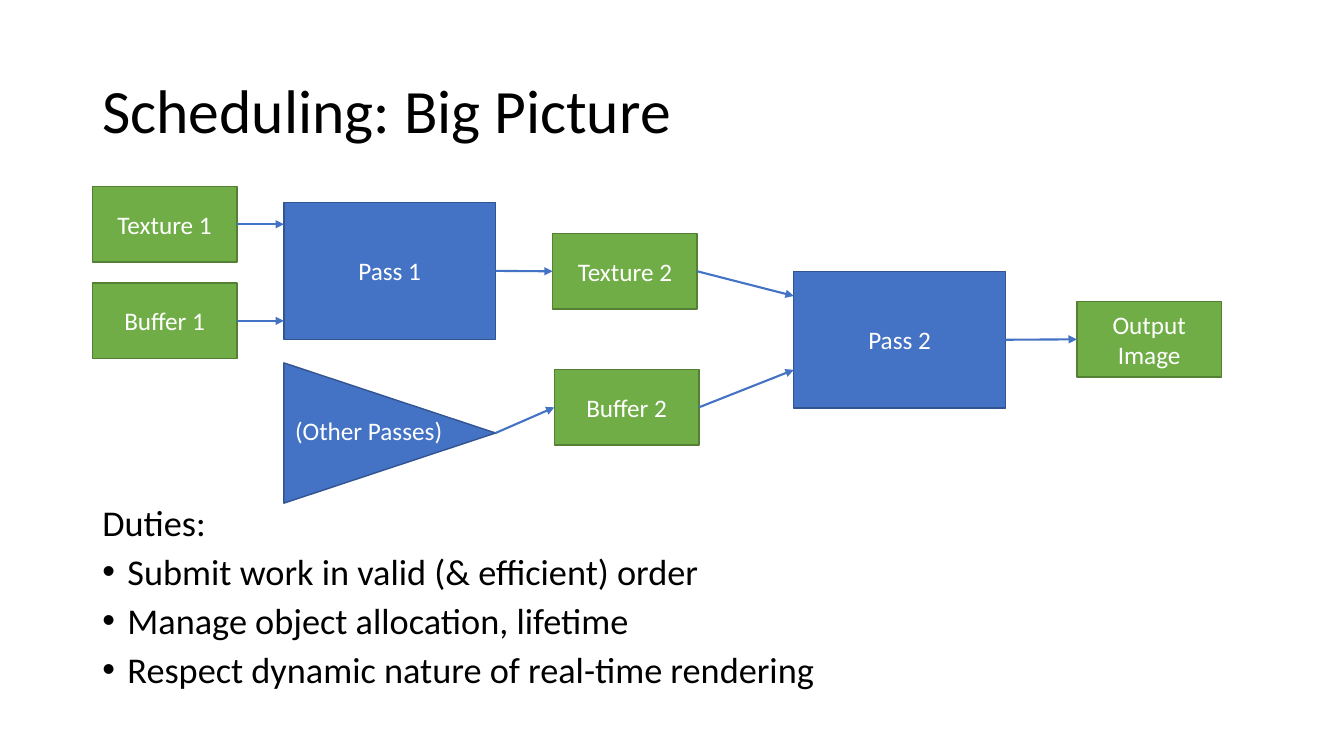
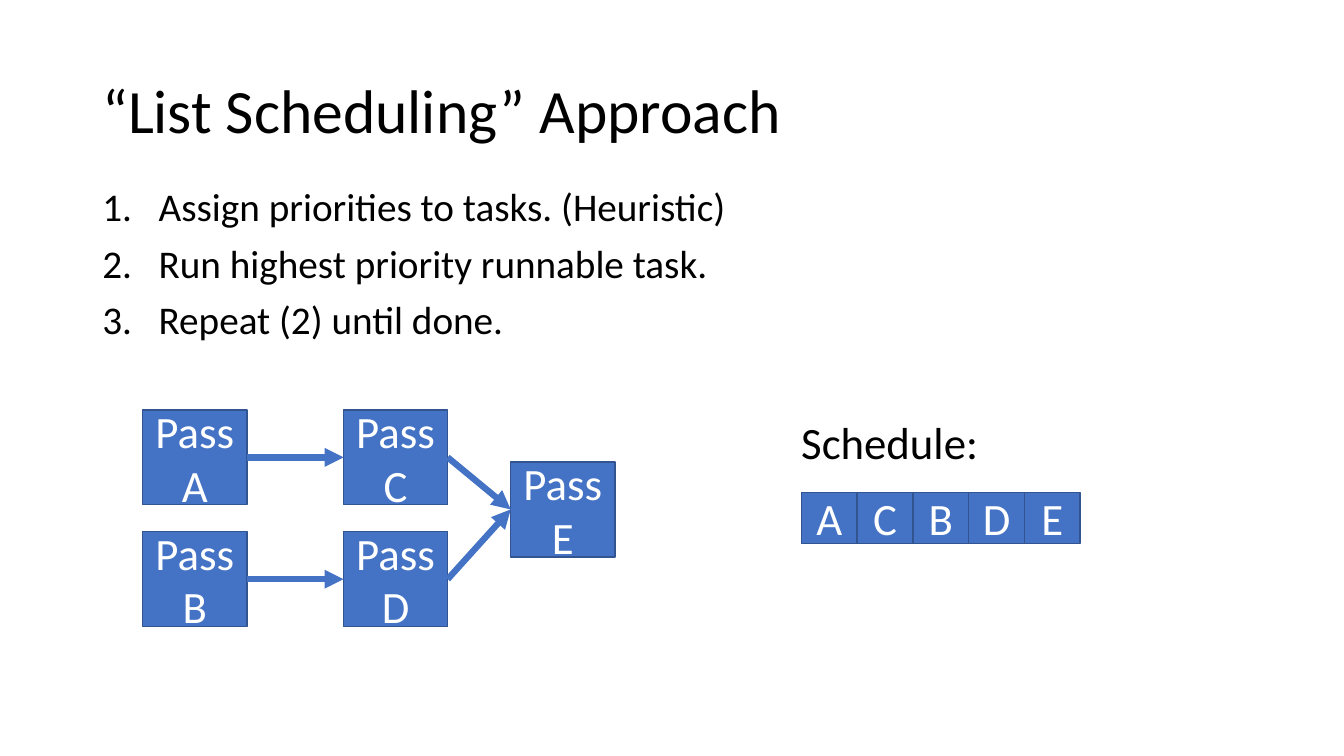
from dataclasses import dataclass

from lxml import etree
from pptx import Presentation
from pptx.dml.color import RGBColor
from pptx.enum.shapes import MSO_CONNECTOR, MSO_SHAPE
from pptx.enum.text import MSO_ANCHOR, PP_ALIGN
from pptx.oxml.ns import qn
from pptx.util import Emu, Inches, Pt

RECTANGLE = MSO_SHAPE.RECTANGLE
TRIANGLE = MSO_SHAPE.ISOSCELES_TRIANGLE
STRAIGHT = MSO_CONNECTOR.STRAIGHT
TOP, MIDDLE = MSO_ANCHOR.TOP, MSO_ANCHOR.MIDDLE
LEFT, CENTER = PP_ALIGN.LEFT, PP_ALIGN.CENTER

# The slide is a grid of square cells; all boxes are given in cells
COLUMNS, ROWS = 80, 45
CELL = Inches(1) / 6
BLANK_LAYOUT = 6


@dataclass(frozen=True)
class Theme:
    font: str = "Calibri"
    ink: str = "000000"
    on_fill: str = "FFFFFF"
    arrow: str = "4472C4"
    work: tuple = ("4472C4", "325491")
    resource: tuple = ("70AD47", "538035")
    title_size: float = 44
    body_size: float = 28
    duties_size: float = 25.9
    large_size: float = 32
    label_size: float = 18
    outline: float = 1


THEME = Theme()


@dataclass(frozen=True)
class Box:
    left: float
    top: float
    width: float
    height: float

    @property
    def right(self):
        return self.left + self.width

    @property
    def middle(self):
        return self.top + self.height / 2

    def emu(self):
        return [cells(n) for n in (self.left, self.top, self.width, self.height)]


TITLE_BOX = Box(5.5, 2.4, 69, 8.7)


def cells(count):
    return Emu(round(count * CELL))


# Text
def add_bullet(paragraph, bullet, indent):
    properties = paragraph._p.get_or_add_pPr()
    properties.set("marL", str(Inches(indent)))
    properties.set("indent", str(-Inches(indent)))
    if bullet == "number":
        etree.SubElement(properties, qn("a:buAutoNum"), type="arabicPeriod")
    else:
        etree.SubElement(properties, qn("a:buFont"), typeface="Arial")
        etree.SubElement(properties, qn("a:buChar"), char=bullet)


def write(frame, text, *, size, color=THEME.ink, align=LEFT, anchor=TOP,
          wrap=True, line_spacing=None, space_before=None, bullet=None,
          indent=0, first_bullet=0):
    """Fill a text frame, one paragraph for each line of text."""
    frame.word_wrap = wrap
    frame.vertical_anchor = anchor
    for index, line in enumerate(text.split("\n")):
        paragraph = frame.add_paragraph() if index else frame.paragraphs[0]
        paragraph.alignment = align
        if line_spacing:
            paragraph.line_spacing = line_spacing
        if space_before:
            paragraph.space_before = Pt(space_before)
        if bullet and index >= first_bullet:
            add_bullet(paragraph, bullet, indent)
        run = paragraph.add_run()
        run.text = line
        run.font.name = THEME.font
        run.font.size = Pt(size)
        run.font.color.rgb = RGBColor.from_string(color)


def add_text(slide, box, text, **text_format):
    write(slide.shapes.add_textbox(*box.emu()).text_frame, text, **text_format)


# Diagram parts
def add_filled(slide, box, colors, kind=RECTANGLE):
    fill, line = colors
    shape = slide.shapes.add_shape(kind, *box.emu())
    shape.shadow.inherit = False
    shape.fill.solid()
    shape.fill.fore_color.rgb = RGBColor.from_string(fill)
    shape.line.color.rgb = RGBColor.from_string(line)
    shape.line.width = Pt(THEME.outline)
    return shape


def add_node(slide, box, text, colors=THEME.work, size=THEME.label_size):
    shape = add_filled(slide, box, colors)
    write(shape.text_frame, text, size=size, color=THEME.on_fill,
          align=CENTER, anchor=MIDDLE)


def add_right_triangle(slide, box, colors):
    """Draw a triangle that points right and fills the box once turned."""
    upright = Box(box.left + (box.width - box.height) / 2,
                  box.top + (box.height - box.width) / 2,
                  box.height, box.width)
    add_filled(slide, upright, colors, TRIANGLE).rotation = 90


def add_arrow(slide, source, target, width=1.5, entry=0.5, level=False):
    """Lead from the source's right side to a share of the target's left side."""
    end_y = source.middle if level else target.top + entry * target.height
    connector = slide.shapes.add_connector(
        STRAIGHT, cells(source.right), cells(source.middle),
        cells(target.left), cells(end_y))
    connector.line.color.rgb = RGBColor.from_string(THEME.arrow)
    connector.line.width = Pt(width)
    properties = connector.element.spPr
    etree.SubElement(properties.find(qn("a:ln")), qn("a:tailEnd"), type="triangle")
    etree.SubElement(properties, qn("a:effectLst"))


# Slides
def add_titled_slide(presentation, title):
    slide = presentation.slides.add_slide(presentation.slide_layouts[BLANK_LAYOUT])
    add_text(slide, TITLE_BOX, title, size=THEME.title_size, anchor=MIDDLE,
             line_spacing=0.9)
    return slide


def build_big_picture(presentation):
    slide = add_titled_slide(presentation, "Scheduling: Big Picture")
    add_text(slide, Box(5.5, 30, 69, 11.95),
             "Duties:\nSubmit work in valid (& efficient) order\n"
             "Manage object allocation, lifetime\n"
             "Respect dynamic nature of real-time rendering",
             size=THEME.duties_size, line_spacing=0.8, space_before=10,
             bullet="•", indent=0.25, first_bullet=1)

    # Resources and passes
    resources = {name: Box(left, top, 8.6, 4.5) for name, left, top in (
        ("Texture 1", 5.5, 11.1), ("Buffer 1", 5.5, 16.85),
        ("Texture 2", 32.9, 13.9), ("Buffer 2", 33, 22),
        ("Output Image", 64.1, 17.95))}
    passes = {name: Box(left, top, 12.6, 8.15) for name, left, top in (
        ("Pass 1", 16.9, 12.05), ("Pass 2", 47.25, 16.15))}
    for boxes, colors in ((resources, THEME.resource), (passes, THEME.work)):
        for name, box in boxes.items():
            add_node(slide, box, name, colors)
    other_passes = Box(16.9, 21.6, 12.6, 8.35)
    add_right_triangle(slide, other_passes, THEME.work)
    add_text(slide, Box(16.9, 24.4, 10.1, 2.4), "(Other Passes)",
             size=THEME.label_size, color=THEME.on_fill, align=CENTER, wrap=False)

    # Data flow
    first, second = passes.values()
    for name in ("Texture 1", "Buffer 1"):
        add_arrow(slide, resources[name], first, level=True)
    add_arrow(slide, first, resources["Texture 2"])
    add_arrow(slide, other_passes, resources["Buffer 2"])
    add_arrow(slide, resources["Texture 2"], second, entry=0.18)
    add_arrow(slide, resources["Buffer 2"], second, entry=0.72)
    add_arrow(slide, second, resources["Output Image"])


def build_list_scheduling(presentation):
    slide = add_titled_slide(presentation, "“List Scheduling” Approach")
    add_text(slide, Box(5.5, 10.9, 69, 28.6),
             "Assign priorities to tasks. (Heuristic)\n"
             "Run highest priority runnable task.\nRepeat (2) until done.",
             size=THEME.body_size, line_spacing=0.9, space_before=10,
             bullet="number", indent=0.56)

    # Task graph
    tasks = {name: Box(left, top, 6.2, 5.65) for name, left, top in (
        ("A", 8.5, 24.4), ("B", 8.5, 31.65), ("C", 20.45, 24.4),
        ("D", 20.45, 31.65), ("E", 30.4, 27.5))}
    for name, box in tasks.items():
        add_node(slide, box, f"Pass {name}", size=THEME.large_size)
    for source, target in ("AC", "BD", "CE", "DE"):
        add_arrow(slide, tasks[source], tasks[target], width=4.5)

    # Resulting order
    add_text(slide, Box(47.1, 24.4, 14.45, 3.85), "Schedule:", size=THEME.large_size)
    slot_width = 3.32
    for index, name in enumerate("ACBDE"):
        slot = Box(47.7 + index * slot_width, 29.3, slot_width, 3.05)
        add_node(slide, slot, name, size=THEME.large_size)


def main():
    presentation = Presentation()
    presentation.slide_width = cells(COLUMNS)
    presentation.slide_height = cells(ROWS)
    build_big_picture(presentation)
    build_list_scheduling(presentation)
    presentation.save("out.pptx")


if __name__ == "__main__":
    main()
